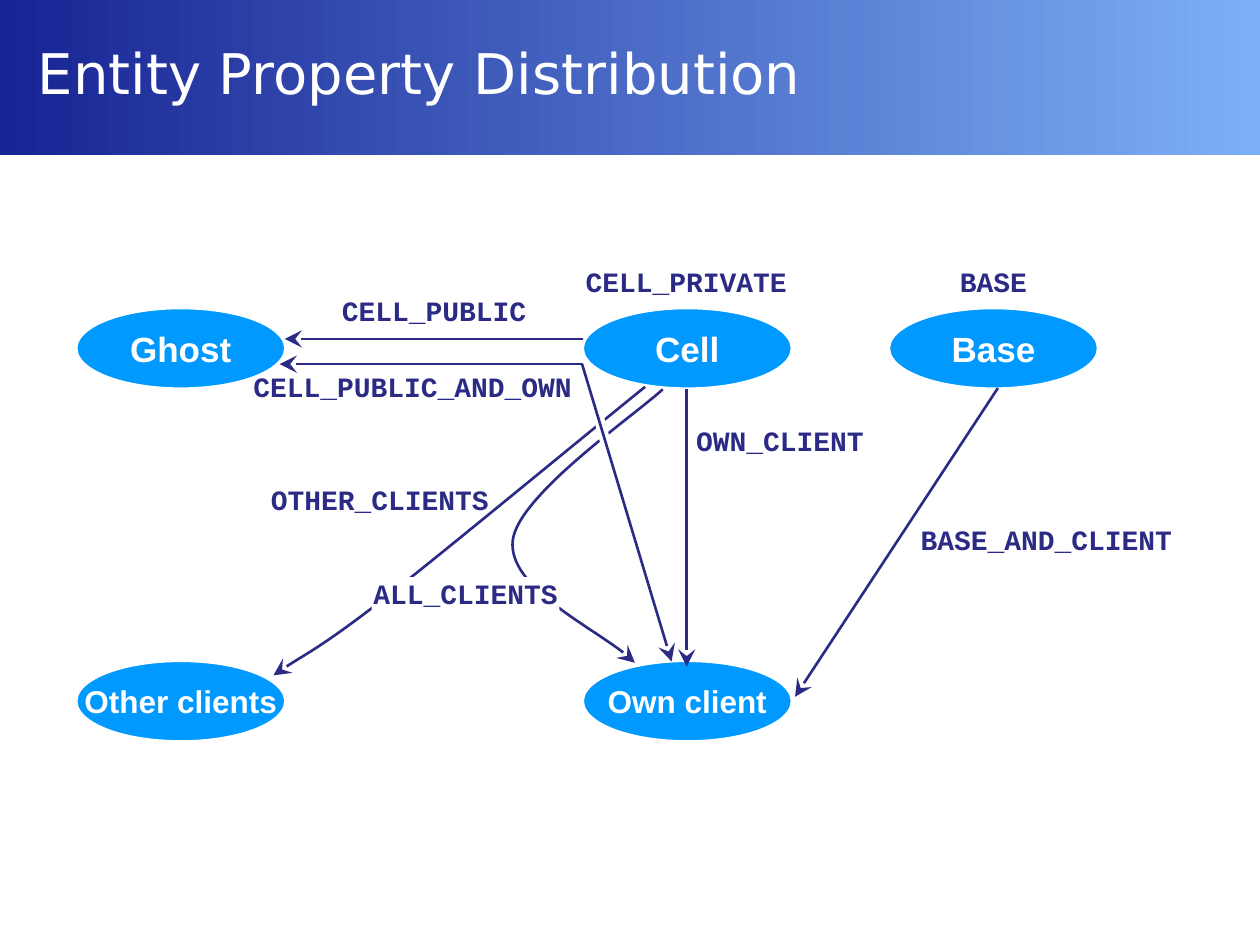
from lxml.etree import SubElement
from pptx import Presentation
from pptx.dml.color import RGBColor as Rgb
from pptx.enum.shapes import MSO_CONNECTOR as Link, MSO_SHAPE as Preset
from pptx.enum.text import MSO_ANCHOR as Anchor, MSO_AUTO_SIZE as Fit, PP_ALIGN as Align
from pptx.oxml.ns import qn
from pptx.util import Inches, Pt

COLORS = {key: Rgb.from_string(value) for key, value in {
    "navy": "2B2B85", "node": "0099FF", "white": "FFFFFF",
    "banner_dark": "182494", "banner_light": "7CB0F6"}.items()}
COLUMNS = {"left": 0.61, "middle": 4.63, "right": 7.06}
ROWS = {"top": 2.45, "bottom": 5.25}
NODE_WIDTH, NODE_HEIGHT = 1.65, 0.63
LABEL_HEIGHT = 0.27

deck = Presentation()
deck.slide_width, deck.slide_height = Inches(10), Inches(7.5)
page = deck.slides.add_slide(deck.slide_layouts[5])
shapes = page.shapes


def write(box, text, align, margins, **font):
    """Fill the box with one formatted paragraph and return that paragraph."""
    frame = box.text_frame
    frame.auto_size = Fit.NONE
    for side, margin in zip(("left", "top", "right", "bottom"), margins):
        setattr(frame, f"margin_{side}", Inches(margin))
    para = frame.paragraphs[0]
    para.alignment = align
    span = para.add_run()
    span.text = text
    span.font.color.rgb = COLORS[font.pop("color")]
    for name, value in font.items():
        setattr(span.font, name, value)
    return para


def style_line(shape, color="navy", width=1.5, arrow=True):
    shape.line.color.rgb = COLORS[color]
    shape.line.width = Pt(width)
    properties = shape.element.spPr
    if arrow:
        SubElement(properties.find(qn("a:ln")), qn("a:tailEnd"),
                   type="stealth", w="lg", len="lg")
    if properties.find(qn("a:effectLst")) is None:
        SubElement(properties, qn("a:effectLst"))


# Title on its gradient banner
title = shapes.title
title.left, title.top, title.width, title.height = map(Inches, (0.2, 0, 9.57, 1.15))
write(title, "Entity Property Distribution", Align.LEFT, (0.1, 0.04, 0.1, 0.05),
      size=Pt(32), name="DejaVu Sans", color="white")
title.text_frame.vertical_anchor = Anchor.MIDDLE

banner = shapes.add_shape(Preset.RECTANGLE, 0, 0, deck.slide_width, Inches(1.23))
banner.shadow.inherit = False
banner.line.fill.background()
banner.fill.gradient()
banner.fill.gradient_angle = 0
for stop, color in zip(banner.fill.gradient_stops, ("banner_dark", "banner_light")):
    stop.color.rgb = COLORS[color]
title.element.addprevious(banner.element)

# Nodes
for text, column, row, size in (
        ("Ghost", "left", "top", 20), ("Base", "right", "top", 20),
        ("Cell", "middle", "top", 20), ("Own client", "middle", "bottom", 18),
        ("Other clients", "left", "bottom", 18)):
    node = shapes.add_shape(Preset.OVAL, Inches(COLUMNS[column]), Inches(ROWS[row]),
                            Inches(NODE_WIDTH), Inches(NODE_HEIGHT))
    node.shadow.inherit = False
    node.fill.solid()
    node.fill.fore_color.rgb = COLORS["node"]
    node.line.color.rgb = COLORS["white"]
    node.line.width = Pt(0.75)
    para = write(node, text, Align.CENTER, (0.1, 0.05, 0.1, 0.05),
                 size=Pt(size), name="Arial", bold=True, color="white")
    para.space_before = Pt(size * 0.625)
    node.text_frame.word_wrap = False
    node.text_frame.vertical_anchor = Anchor.MIDDLE

# Curved arrows: a start point, then three points for each Bezier segment
for points in (
        ((5.12, 3.07), (4.77, 3.35), (3.55, 4.36), (3.05, 4.75),
         (2.56, 5.13), (2.35, 5.23), (2.17, 5.36)),
        ((5.26, 3.09), (5.06, 3.28), (4.11, 3.93), (4.07, 4.29),
         (4.03, 4.65), (4.84, 5.05), (5.04, 5.26))):
    start, *rest = [(Inches(x), Inches(y)) for x, y in points]
    builder = shapes.build_freeform(*start)
    builder.add_line_segments(rest, close=False)
    curve = builder.convert_to_shape()
    curve.shadow.inherit = False
    curve.fill.background()
    outline = next(curve.element.iter(qn("a:path")))
    corners = outline.findall(qn("a:lnTo"))
    for first in range(0, len(corners), 3):
        segment = SubElement(outline, qn("a:cubicBezTo"))
        for corner in corners[first:first + 3]:
            segment.append(corner[0])
            outline.remove(corner)
    style_line(curve)

# Straight arrows; the wide white line opens a gap where arrows cross
for start, end, look in (
        ((4.63, 2.69), (2.26, 2.69), {}),
        ((5.45, 3.09), (5.45, 5.29), {}),
        ((4.63, 2.89), (2.22, 2.89), {}),
        ((7.92, 3.08), (6.31, 5.53), {}),
        ((4.69, 3.08), (4.88, 3.79), {"color": "white", "width": 6, "arrow": False}),
        ((4.62, 2.89), (5.33, 5.25), {})):
    arrow = shapes.add_connector(Link.STRAIGHT, *map(Inches, start + end))
    style_line(arrow, **look)

# Property labels
for text, left, top, width in (
        ("BASE", COLUMNS["right"], 2.1, NODE_WIDTH),
        ("CELL_PRIVATE", 4.62, 2.1, NODE_WIDTH),
        ("OWN_CLIENT", 5.52, 3.36, 1.34),
        ("CELL_PUBLIC", 2.64, 2.33, 1.61),
        ("OTHER_CLIENTS", 2.13, 3.83, 1.77),
        ("CELL_PUBLIC_AND_OWN", 1.94, 2.93, 2.67),
        ("ALL_CLIENTS", 2.95, 4.58, 1.49),
        ("BASE_AND_CLIENT", 7.3, 4.15, 2.01)):
    label = shapes.add_textbox(*map(Inches, (left, top, width, LABEL_HEIGHT)))
    write(label, text, Align.CENTER, (0, 0, 0, 0),
          size=Pt(16), name="Courier New", bold=True, color="navy")
    label.text_frame.word_wrap = True
    if text == "ALL_CLIENTS":
        label.fill.solid()
        label.fill.fore_color.rgb = COLORS["white"]

deck.save("out.pptx")
